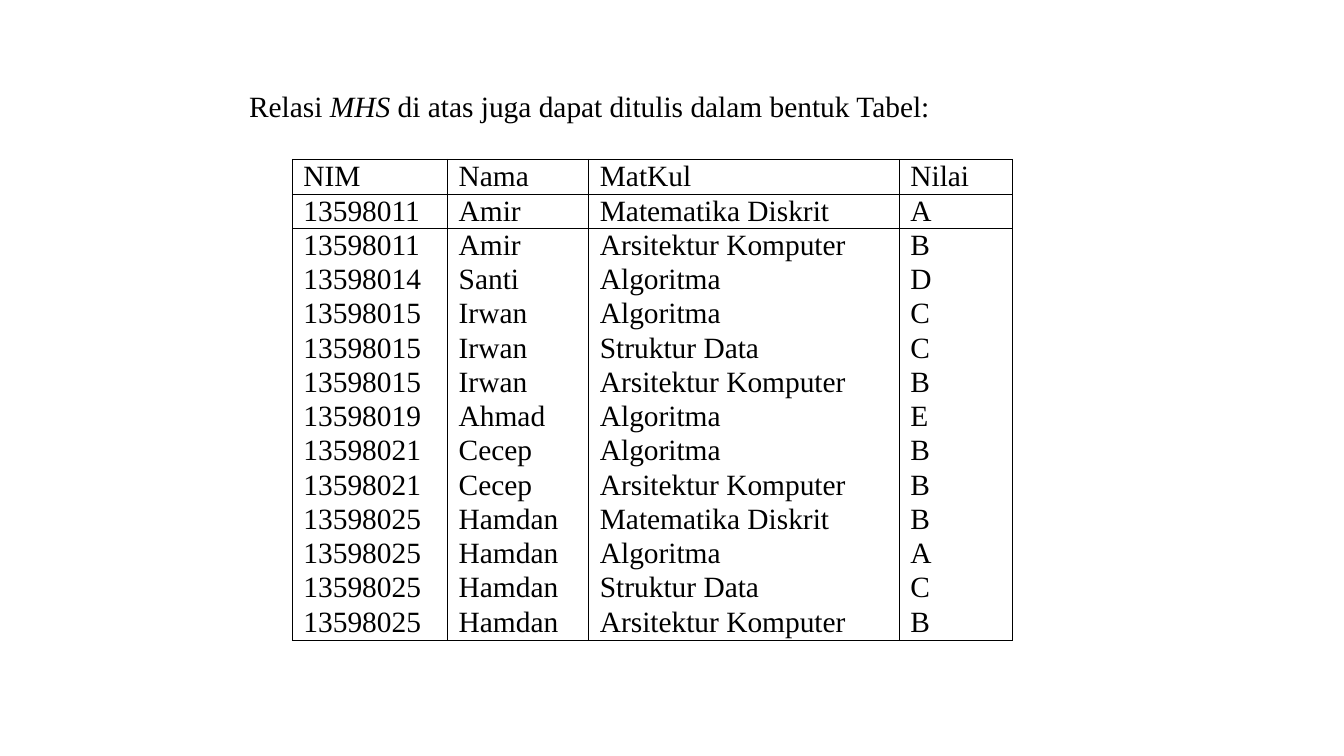
import pptx
import pptx.util
import pptx.dml.color
import pptx.enum.text
import pptx.oxml
import pptx.oxml.ns

Inches, Pt = pptx.util.Inches, pptx.util.Pt
INK = "000000"

deck = pptx.Presentation()
deck.slide_width, deck.slide_height = Inches(13.33), Inches(7.5)
page = deck.slides.add_slide(deck.slide_layouts[6])


def style(span, color):
    span.font.name = "Times New Roman"
    span.font.size = Pt(21)
    span.font.color.rgb = pptx.dml.color.RGBColor.from_string(color)


def set_borders(cell, color, sides):
    """Rule the given sides (L, R, T, B) and clear the others."""
    props = cell._tc.get_or_add_tcPr()
    for index, side in enumerate("LRTB"):
        paint = "<a:noFill/>"
        if side in sides:
            paint = f'<a:solidFill><a:srgbClr val="{color}"/></a:solidFill>'
        line = f'<a:ln{side} {pptx.oxml.ns.nsdecls("a")} w="{Pt(0.75)}">{paint}</a:ln{side}>'
        props.insert(index, pptx.oxml.parse_xml(line))


# Heading
box = page.shapes.add_textbox(Inches(2.47), Inches(0.85), Inches(6.91), Inches(0.38))
frame = box.text_frame
frame.word_wrap = True
frame.vertical_anchor = pptx.enum.text.MSO_ANCHOR.MIDDLE
frame.margin_left = frame.margin_right = frame.margin_bottom = 0
frame.margin_top = Inches(0.02)
para = frame.paragraphs[0]
para.space_before = Pt(1.4)
for text, italic in [("Relasi ", False), ("MHS ", True),
                     ("di atas juga dapat ditulis dalam bentuk Tabel:", False)]:
    span = para.add_run()
    span.text = text
    style(span, INK)
    span.font.italic = italic

# Relation: student number, name, course, grade
records = [
    ("NIM", "Nama", "MatKul", "Nilai"),
    ("13598011", "Amir", "Matematika Diskrit", "A"),
    ("13598011", "Amir", "Arsitektur Komputer", "B"),
    ("13598014", "Santi", "Algoritma", "D"),
    ("13598015", "Irwan", "Algoritma", "C"),
    ("13598015", "Irwan", "Struktur Data", "C"),
    ("13598015", "Irwan", "Arsitektur Komputer", "B"),
    ("13598019", "Ahmad", "Algoritma", "E"),
    ("13598021", "Cecep", "Algoritma", "B"),
    ("13598021", "Cecep", "Arsitektur Komputer", "B"),
    ("13598025", "Hamdan", "Matematika Diskrit", "B"),
    ("13598025", "Hamdan", "Algoritma", "A"),
    ("13598025", "Hamdan", "Struktur Data", "C"),
    ("13598025", "Hamdan", "Arsitektur Komputer", "B"),
]
widths = [1.54, 1.4, 3.08, 1.12]
last = len(records) - 1

# Table
table = page.shapes.add_table(len(records), len(widths), Inches(2.9), Inches(1.58),
                              Inches(sum(widths)), Inches(4.78)).table
table.first_row = table.horz_banding = False
for column, width in zip(table.columns, widths):
    column.width = Inches(width)

for number, record in enumerate(records):
    table.rows[number].height = Inches(0.35 if number in (0, last) else 0.34)
    # Horizontal rules frame the first two rows and close the table
    sides = "LR" + ("T" if number <= 2 else "") + ("B" if number in (0, 1, last) else "")
    for cell, text in zip(table.rows[number].cells, record):
        cell.margin_left = Inches(0.11)
        cell.margin_right = cell.margin_top = cell.margin_bottom = 0
        cell.fill.background()
        set_borders(cell, INK, sides)
        cell.text_frame.text = text
        para = cell.text_frame.paragraphs[0]
        para.line_spacing = Pt(23.8 if number == 0 else 23.5)
        style(para.runs[0], INK)

deck.save("out.pptx")
